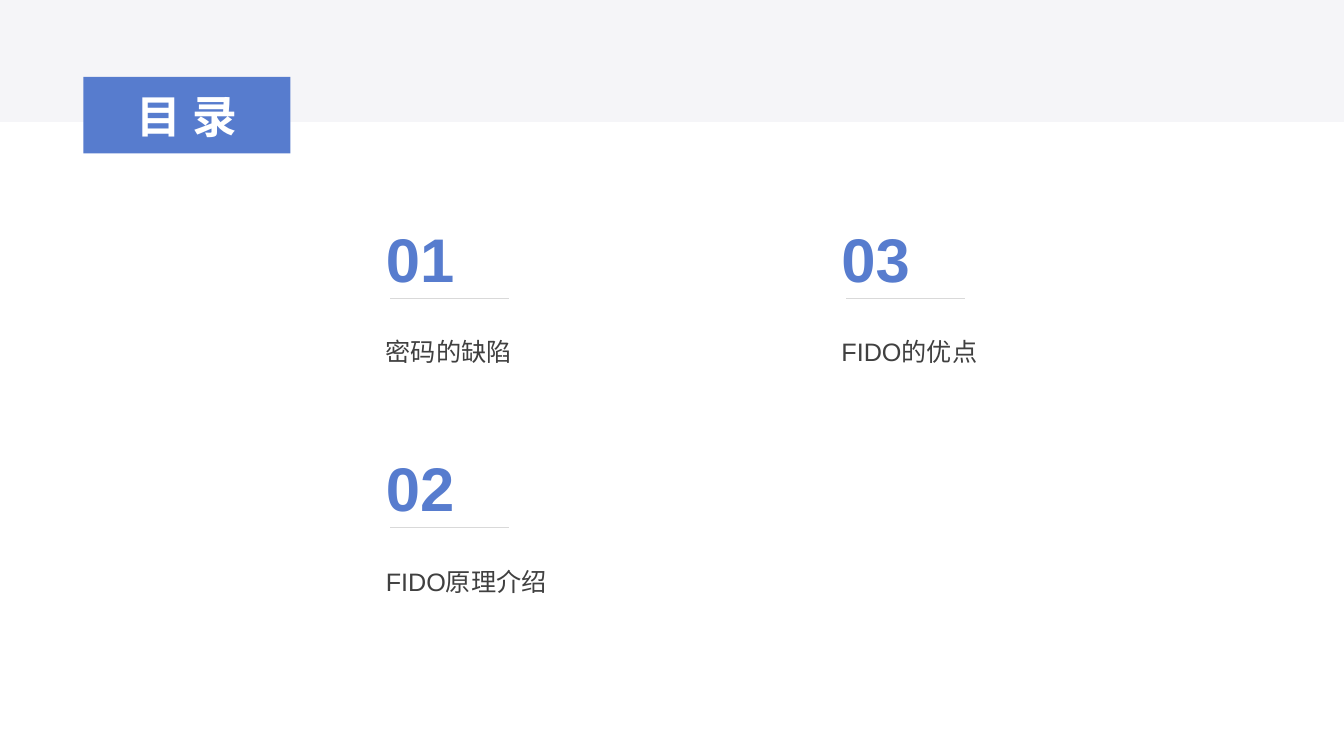
from dataclasses import dataclass

from lxml import etree
from pptx import Presentation
from pptx.dml.color import RGBColor
from pptx.enum.shapes import MSO_CONNECTOR, MSO_SHAPE
from pptx.enum.text import MSO_ANCHOR, MSO_AUTO_SIZE, PP_ALIGN
from pptx.oxml.ns import qn
from pptx.util import Pt

RECTANGLE = MSO_SHAPE.RECTANGLE
STRAIGHT = MSO_CONNECTOR.STRAIGHT
MIDDLE = MSO_ANCHOR.MIDDLE
NO_AUTOFIT = MSO_AUTO_SIZE.NONE
CENTER, JUSTIFY = PP_ALIGN.CENTER, PP_ALIGN.JUSTIFY
TITLE_ONLY = 5


@dataclass(frozen=True)
class Theme:
    font: str = "Arial"
    accent: RGBColor = RGBColor(0x57, 0x7C, 0xCE)
    band: RGBColor = RGBColor(0xF5, 0xF5, 0xF8)
    text: RGBColor = RGBColor(0x40, 0x40, 0x40)
    rule: RGBColor = RGBColor(0xD9, 0xD9, 0xD9)
    white: RGBColor = RGBColor(0xFF, 0xFF, 0xFF)
    title_size: int = 32
    number_size: int = 44
    topic_size: int = 18


THEME = Theme()
SLIDE_WIDTH, SLIDE_HEIGHT = 960, 540

# Contents grid: filled column by column
TOPICS = ["密码的缺陷", "FIDO原理介绍", "FIDO的优点"]
ROWS = 2
GRID_LEFT, GRID_TOP = 268.5, 154
COLUMN_STEP, ROW_STEP = 325.5, 164


def set_all(target, values):
    for name, value in values.items():
        setattr(target, name, value)


def write_text(frame, text, size, color, bold=False, **para_format):
    frame.word_wrap = True
    para = frame.paragraphs[0]
    set_all(para, para_format)
    span = para.add_run()
    span.text = text
    set_all(span.font, {"name": THEME.font, "size": Pt(size), "bold": bold})
    span.font.color.rgb = color
    return span


def add_text(page, left, top, width, height, *text, **text_format):
    box = page.shapes.add_textbox(Pt(left), Pt(top), Pt(width), Pt(height))
    write_text(box.text_frame, *text, **text_format)


def add_band(page):
    band = page.shapes.add_shape(RECTANGLE, 0, 0, Pt(SLIDE_WIDTH), Pt(87))
    band.shadow.inherit = False
    band.fill.solid()
    band.fill.fore_color.rgb = THEME.band
    band.line.fill.background()


def add_rule(page, left, top, width):
    rule = page.shapes.add_connector(
        STRAIGHT, Pt(left + width), Pt(top), Pt(left), Pt(top))
    rule.line.color.rgb = THEME.rule
    rule.line.width = Pt(0.5)
    etree.SubElement(rule._element.spPr, qn("a:effectLst"))


def add_topic(page, left, top, number, topic):
    add_text(page, left, top + 72, 255, 76,
             topic, THEME.topic_size, THEME.text,
             alignment=JUSTIFY, line_spacing=1.5, space_after=Pt(20))
    add_text(page, left, top, 64, 60.5,
             f"{number:02d}", THEME.number_size, THEME.accent, bold=True)
    add_rule(page, left + 10, top + 59, 85)


def format_title(page, text):
    title = page.shapes.title
    set_all(title, {"left": Pt(59.5), "top": Pt(55),
                    "width": Pt(148), "height": Pt(54.5)})
    title.fill.solid()
    title.fill.fore_color.rgb = THEME.accent
    set_all(title.text_frame,
            {"auto_size": NO_AUTOFIT, "vertical_anchor": MIDDLE})
    span = write_text(title.text_frame, text, THEME.title_size, THEME.white,
                      bold=True, alignment=CENTER)
    # Letter spacing of 8 pt
    span.font._element.set("spc", "800")
    # Bring the title in front of the band
    page.shapes._spTree.append(title._element)


def main():
    deck = Presentation()
    set_all(deck, {"slide_width": Pt(SLIDE_WIDTH),
                   "slide_height": Pt(SLIDE_HEIGHT)})
    page = deck.slides.add_slide(deck.slide_layouts[TITLE_ONLY])

    # Header
    add_band(page)

    # Numbered topics
    for index, topic in enumerate(TOPICS):
        column, row = divmod(index, ROWS)
        add_topic(page, GRID_LEFT + column * COLUMN_STEP,
                  GRID_TOP + row * ROW_STEP, index + 1, topic)

    # Title tag
    format_title(page, "目录")

    deck.save("out.pptx")


if __name__ == "__main__":
    main()
